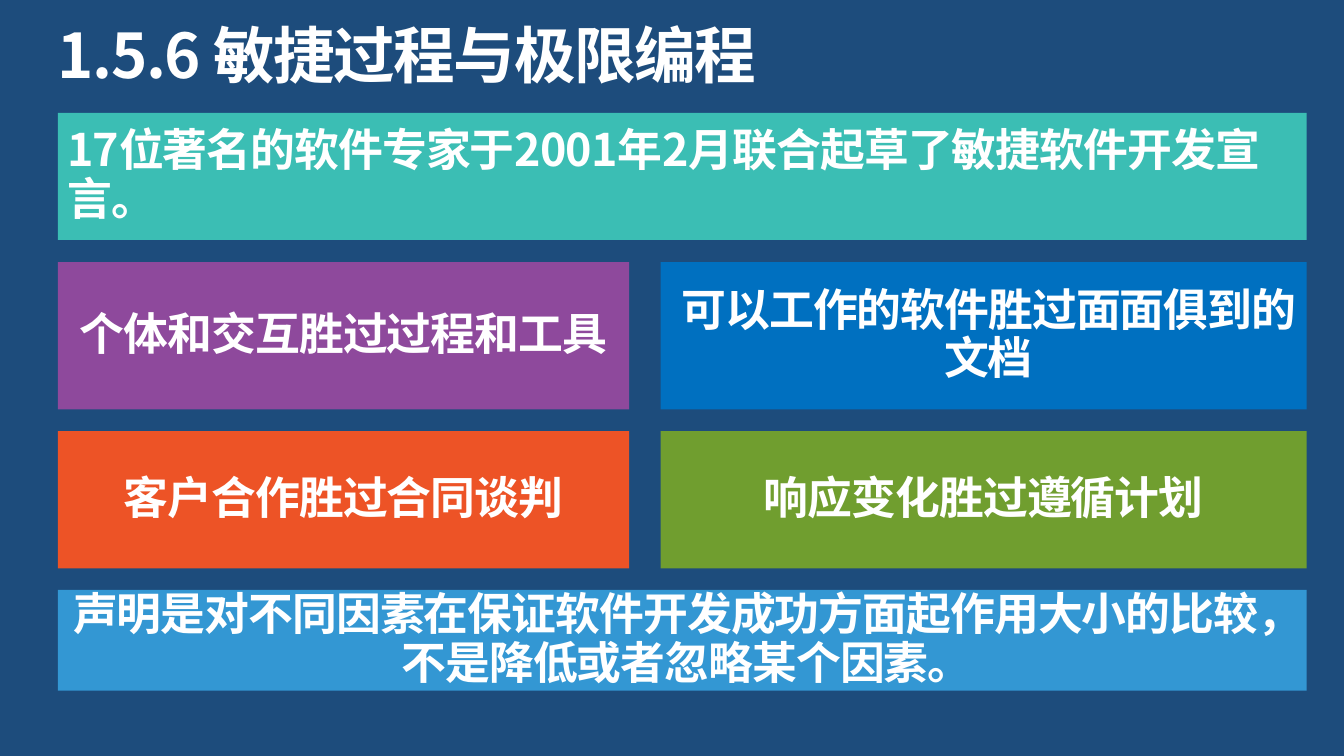
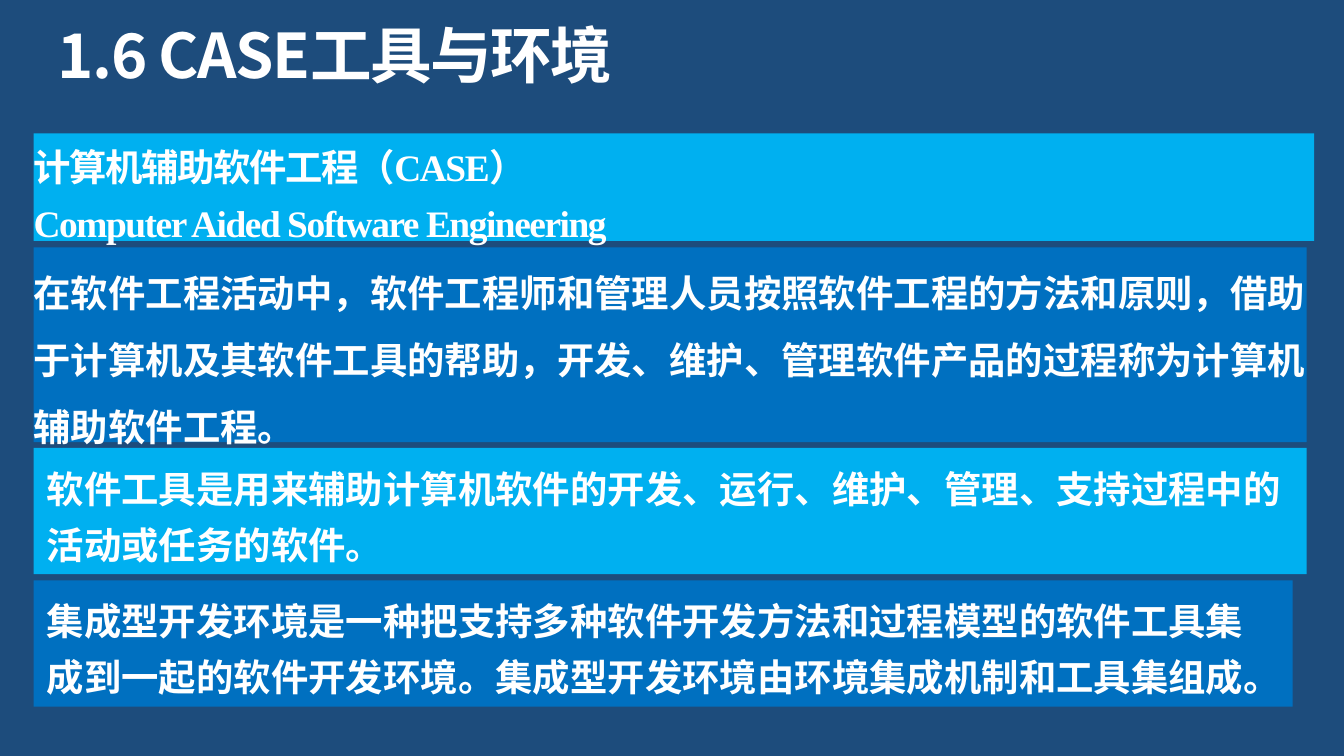
"""Build two slides on agile development and CASE tools."""
from lxml import etree
from pptx import Presentation
from pptx.dml.color import RGBColor
from pptx.enum import shapes, text
from pptx.oxml import ns
from pptx.util import Pt

SANS, SERIF = "Noto Sans CJK SC", "Times New Roman"
NAVY, WHITE, BLUE, CYAN = "1D4C7C", "FFFFFF", "0070C0", "00B0F0"
LEFT, MID = text.PP_ALIGN.LEFT, text.PP_ALIGN.CENTER
TOP, HALF = text.MSO_ANCHOR.TOP, text.MSO_ANCHOR.MIDDLE


def paint(fill, tone):
    fill.solid()
    fill.fore_color.rgb = RGBColor.from_string(tone)


def write(box, lines, size, face, gap, track, pads, align=LEFT, anchor=TOP):
    frame = box.text_frame
    frame.word_wrap = True
    frame.auto_size = text.MSO_AUTO_SIZE.NONE
    frame.vertical_anchor = anchor
    (frame.margin_left, frame.margin_top,
     frame.margin_right, frame.margin_bottom) = map(Pt, pads)
    para = frame.paragraphs[0]
    para.alignment, para.line_spacing = align, gap
    for i, line in enumerate(lines.split("\n")):
        if i:
            para.add_line_break()
        run = para.add_run()
        run.text = line
        font = run.font
        font.size, font.name, font.bold = Pt(size), face, True
        paint(font.fill, WHITE)
        props = run._r.get_or_add_rPr()
        props.set("spc", str(round(track * 100)))
        etree.SubElement(props, ns.qn("a:ea")).set("typeface", SANS)


deck = Presentation()
deck.slide_width, deck.slide_height = Pt(720), Pt(405)

X, WIDE, COL = 31, 669, 306
X2 = 354
COL2 = X + WIDE - X2
EVEN, FLUSH = (5, 5, 5, 5), (5, 5, 0, 5)
NONE, INSET = (0, 0, 0, 0), (7.2, 3.6, 7.2, 3.6)
agile = [
    (X, 60.5, WIDE, 68, "3BBEB4", EVEN, LEFT,
     "17位著名的软件专家于2001年2月联合起草了敏捷软件开发宣言。"),
    (X, 140.4, COL, 79, "8E499C", EVEN, MID, "个体和交互胜过过程和工具"),
    (X2, 140.4, COL2, 79, BLUE, FLUSH, MID, "可以工作的软件胜过面面俱到的文档"),
    (X, 231, COL, 73.5, "ED5326", EVEN, MID, "客户合作胜过合同谈判"),
    (X2, 231, COL2, 73.5, "709E2F", EVEN, MID, "响应变化胜过遵循计划"),
    (X, 316, WIDE, 54, "3397D3", FLUSH, MID,
     "声明是对不同因素在保证软件开发成功方面起作用大小的比较，不是降低或者忽略某个因素。"),
]
tools = [
    (132.5, 682, 104.4, BLUE, NONE, 1.5, 0,
     "在软件工程活动中，软件工程师和管理人员按照软件工程的方法和原则，借助于计算机及其软件工具的帮助，"
     "开发、维护、管理软件产品的过程称为计算机辅助软件工程。"),
    (71.5, 686, 57.6, CYAN, NONE, 1.25, -0.8,
     "计算机辅助软件工程（CASE）\nComputer Aided Software Engineering"),
    (240, 682, 67.7, CYAN, INSET, 1.25, 0,
     "软件工具是用来辅助计算机软件的开发、运行、维护、管理、支持过程中的活动或任务的软件。"),
    (311, 674.6, 67.7, BLUE, INSET, 1.25, 0,
     "集成型开发环境是一种把支持多种软件开发方法和过程模型的软件工具集成到一起的软件开发环境。"
     "集成型开发环境由环境集成机制和工具集组成。"),
]
pages = [
    ("1.5.6 敏捷过程与极限编程",
     [(x, y, w, h, tone, (words, 24, SANS, 0.9, -0.5, pads, align, HALF))
      for x, y, w, h, tone, pads, align, words in agile]),
    ("1.6 CASE工具与环境",
     [(18, y, w, h, tone, (words, 20, SERIF, gap, track, pads))
      for y, w, h, tone, pads, gap, track, words in tools]),
]

for title, cards in pages:
    slide = deck.slides.add_slide(deck.slide_layouts[6])
    paint(slide.background.fill, NAVY)
    head = slide.shapes.add_textbox(Pt(X), Pt(13.7), Pt(659), Pt(36))
    write(head, title, 33, SANS, 0.9, -0.8, NONE)
    for x, y, w, h, tone, style in cards:
        card = slide.shapes.add_shape(
            shapes.MSO_SHAPE.RECTANGLE, Pt(x), Pt(y), Pt(w), Pt(h))
        card.shadow.inherit = False
        card.line.fill.background()
        paint(card.fill, tone)
        write(card, *style)

deck.save("out.pptx")
